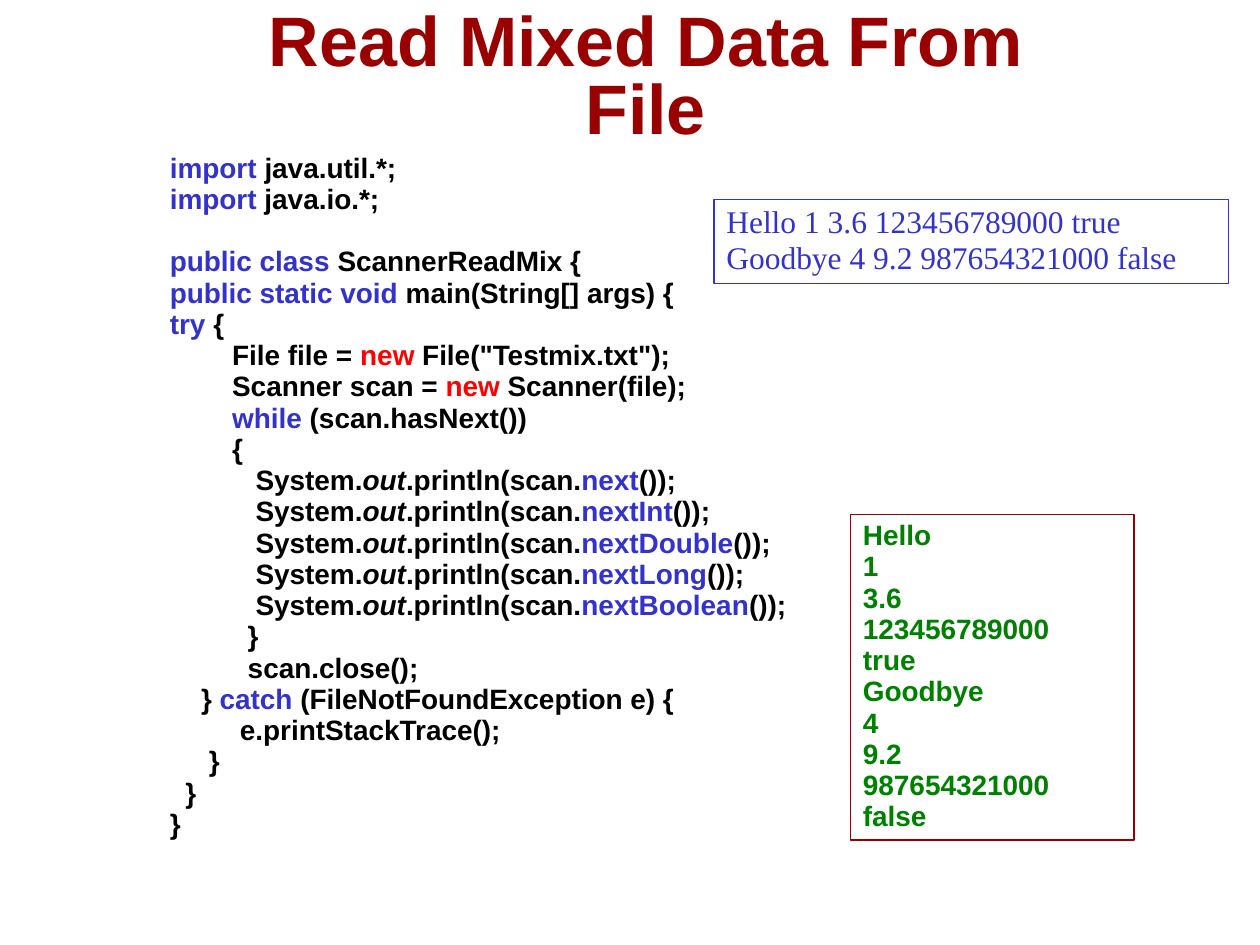
from pptx import Presentation
from pptx.dml.color import RGBColor
from pptx.enum.shapes import MSO_SHAPE as Shape
from pptx.enum.text import MSO_ANCHOR as Anchor, PP_ALIGN as Align
from pptx.util import Inches, Pt

COLORS = {
    "title": "990000",
    "keyword": "3333CC",
    "creation": "FF0000",
    "code": "000000",
    "output": "008000",
}
SPACE_WIDTH = 4.45
BLANK_LINE = 17.9


def color(name):
    return RGBColor.from_string(COLORS[name])


def keyword(text):
    return text, {"ink": "keyword"}


def creation(start, end):
    return [start, ("new", {"ink": "creation"}), end]


def print_call(method):
    return [
        "System.", ("out", {"italic": True}), ".println(scan.",
        keyword(method), "());",
    ]


def add_span(para, text, font="Arial", size=16, ink="code", bold=True, italic=False):
    span = para.add_run()
    span.text = text
    span.font.name = font
    span.font.size = Pt(size)
    span.font.bold = bold
    span.font.italic = italic
    span.font.color.rgb = color(ink)


class SlideBuilder:
    columns, rows = 120, 90
    line_spacing = 0.93

    def __init__(self, deck):
        self.page = deck.slides.add_slide(deck.slide_layouts[6])
        self.column = deck.slide_width / self.columns
        self.row = deck.slide_height / self.rows

    def place(self, left, top, width, height):
        return (
            round(left * self.column), round(top * self.row),
            round(width * self.column), round(height * self.row),
        )

    def paragraph(self, frame, index, spacing=None):
        para = frame.paragraphs[0] if index == 0 else frame.add_paragraph()
        para.line_spacing = spacing or self.line_spacing
        para.alignment = Align.LEFT
        return para

    def title(self, text, *area):
        frame = self.page.shapes.add_textbox(*self.place(*area)).text_frame
        frame.word_wrap = True
        frame.vertical_anchor = Anchor.MIDDLE
        frame.margin_left = frame.margin_right = 0
        frame.margin_top = frame.margin_bottom = 0
        para = self.paragraph(frame, 0, spacing=0.81)
        para.alignment = Align.CENTER
        add_span(para, text, size=40, ink="title")

    def code(self, lines, *area):
        frame = self.page.shapes.add_textbox(*self.place(*area)).text_frame
        frame.word_wrap = True
        for index, (indent, gap, spans) in enumerate(lines):
            para = self.paragraph(frame, index)
            para.space_before = Pt(gap)
            properties = para._p.get_or_add_pPr()
            properties.set("marL", str(Pt(indent * SPACE_WIDTH)))
            properties.set("indent", "0")
            for span in spans:
                text, style = (span, {}) if isinstance(span, str) else span
                add_span(para, text, **style)

    def panel(self, lines, *area, border, **style):
        box = self.page.shapes.add_shape(Shape.RECTANGLE, *self.place(*area))
        box.shadow.inherit = False
        box.fill.background()
        box.line.color.rgb = color(border)
        box.line.width = Pt(0.75)
        frame = box.text_frame
        frame.word_wrap = True
        frame.vertical_anchor = Anchor.TOP
        for index, text in enumerate(lines):
            add_span(self.paragraph(frame, index), text, **style)


CODE = [
    (0, 0, [keyword("import "), "java.util.*;"]),
    (0, 0, [keyword("import"), " java.io.*;"]),
    (0, BLANK_LINE, [keyword("public class "), "ScannerReadMix {"]),
    (0, 0, [keyword("public static void"), " main(String[] args) {"]),
    (0, 0, [keyword("try"), " {"]),
    (8, 0, creation("File file = ", ' File("Testmix.txt");')),
    (8, 0, creation("Scanner scan = ", " Scanner(file);")),
    (8, 0, [keyword("while"), " (scan.hasNext())"]),
    (8, 0, ["{"]),
    *[
        (11, 0, print_call(method))
        for method in ("next", "nextInt", "nextDouble", "nextLong", "nextBoolean")
    ],
    (10, 0, ["}"]),
    (10, 0, ["scan.close();"]),
    (4, 0, ["} ", keyword("catch "), "(FileNotFoundException e) {"]),
    (9, 0, ["e.printStackTrace();"]),
    (5, 0, ["}"]),
    (2, 0, ["}"]),
    (0, 0, ["}"]),
]
RECORDS = ["Hello 1 3.6 123456789000 true", "Goodbye 4 9.2 987654321000 false"]
OUTPUT = [value for record in RECORDS for value in record.split()]


def main():
    deck = Presentation()
    deck.slide_width, deck.slide_height = Inches(10), Inches(7.5)
    slide = SlideBuilder(deck)
    slide.title("Read Mixed Data From File", 22, 3, 79, 9.25)
    slide.code(CODE, 15, 14, 65, 69.75)
    slide.panel(
        RECORDS, 68, 19, 49, 8, border="keyword",
        font="Times New Roman", size=18, ink="keyword", bold=False,
    )
    slide.panel(OUTPUT, 81, 49, 27, 31, border="title", ink="output")
    deck.save("out.pptx")


if __name__ == "__main__":
    main()
